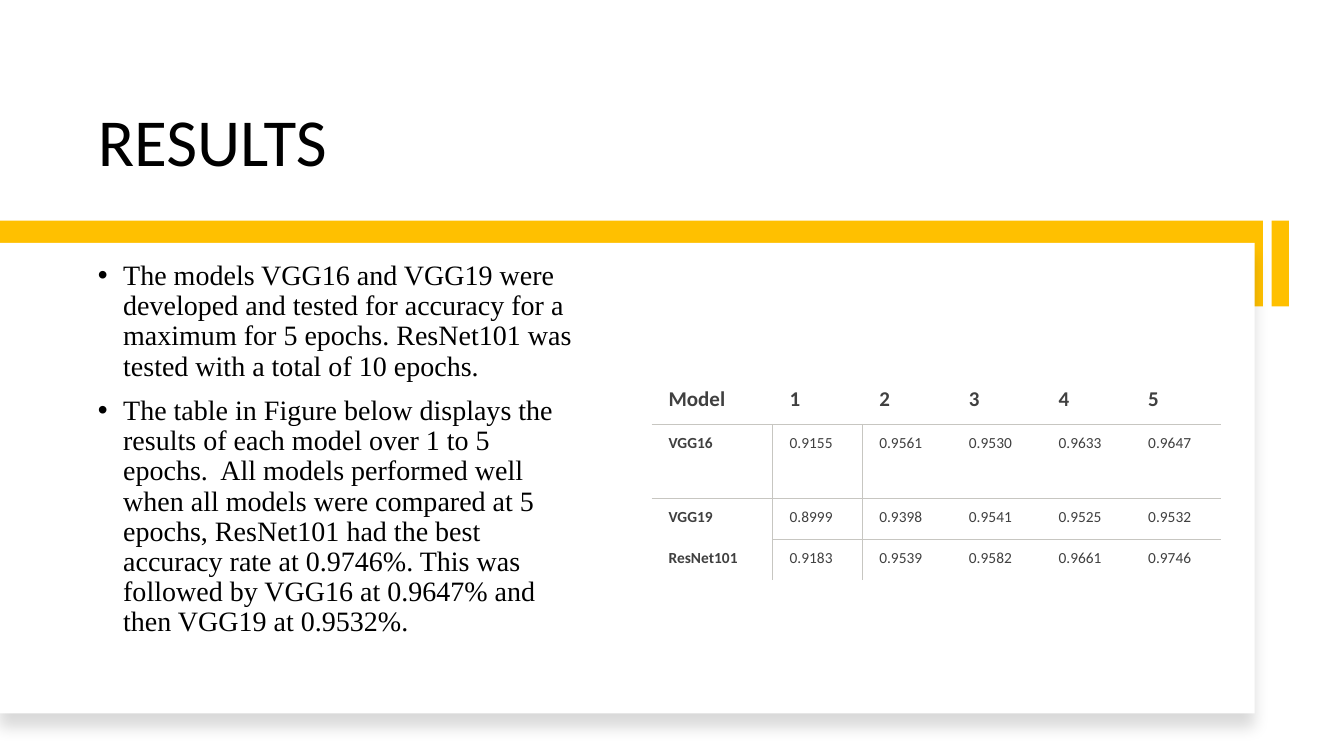
import lxml.etree
import pptx
import pptx.dml.color
import pptx.enum.shapes
import pptx.enum.text
import pptx.oxml.ns
import pptx.util

Cm, Pt = pptx.util.Cm, pptx.util.Pt
qn = pptx.oxml.ns.qn
ANCHOR = pptx.enum.text.MSO_ANCHOR
LEFT = pptx.enum.text.PP_ALIGN.LEFT

BLACK, WHITE, GOLD, GREY, RULE = "000000", "FFFFFF", "FFC000", "404040", "C7C6C1"
PLAIN_TABLE = "{2D5ABB26-0587-4C30-8999-92F81FD0307C}"

FINDINGS = [
    "The models VGG16 and VGG19 were developed and tested for accuracy for a "
    "maximum for 5 epochs. ResNet101 was tested with a total of 10 epochs. ",
    "The table in Figure below displays the results of each model over 1 to 5 "
    "epochs.  All models performed well when all models were compared at 5 "
    "epochs, ResNet101 had the best accuracy rate at 0.9746%. This was "
    "followed by VGG16 at 0.9647% and then VGG19 at 0.9532%.",
]
ACCURACY = [
    ["Model", "1", "2", "3", "4", "5"],
    ["VGG16", "0.9155", "0.9561", "0.9530", "0.9633", "0.9647"],
    ["VGG19", "0.8999", "0.9398", "0.9541", "0.9525", "0.9532"],
    ["ResNet101", "0.9183", "0.9539", "0.9582", "0.9661", "0.9746"],
]
COLUMN_WIDTHS = [3.05] + [2.26] * 5
ROW_HEIGHTS = [1.19, 1.88, 1.02, 1.02]


def colour(hex_code):
    """Turn a hex string into a colour."""
    return pptx.dml.color.RGBColor.from_string(hex_code)


def apply(target, values):
    """Set every attribute named in a dict of format values."""
    for name, value in values.items():
        setattr(target, name, value)


def place(shape, left, top, width, height):
    """Move and size a shape, in centimetres."""
    apply(shape, {"left": Cm(left), "top": Cm(top),
                  "width": Cm(width), "height": Cm(height)})


def add_element(parent, tag, **attributes):
    """Append an XML element such as a:ln with its attributes."""
    return lxml.etree.SubElement(parent, qn(tag), attributes)


def write(para, text, font, size, hex_code, bold=False, **layout):
    """Put one formatted span of text in a paragraph."""
    span = para.add_run()
    span.text = text
    apply(span.font, {"name": font, "size": Pt(size), "bold": bold})
    span.font.color.rgb = colour(hex_code)
    apply(para, {"alignment": LEFT, **layout})


def add_block(page, hex_code, *position):
    """Add a plain filled rectangle."""
    block = page.shapes.add_shape(
        pptx.enum.shapes.MSO_SHAPE.RECTANGLE, *map(Cm, position))
    block.shadow.inherit = False
    block.fill.solid()
    block.fill.fore_color.rgb = colour(hex_code)
    block.line.fill.background()
    return block


def add_shadow(shape):
    """Give a shape a soft shadow below it."""
    effects = shape._element.spPr.find(qn("a:effectLst"))
    shadow = add_element(effects, "a:outerShdw", blurRad=str(Pt(11)),
                         dist=str(Pt(10)), dir="5400000", algn="t",
                         rotWithShape="0")
    tint = add_element(shadow, "a:srgbClr", val=BLACK)
    add_element(tint, "a:alpha", val="15000")


def fill_title(title):
    """Place and write the title."""
    place(title, 2.21, 1.07, 27.97, 3.61)
    apply(title.text_frame, {"vertical_anchor": ANCHOR.BOTTOM})
    write(title.text_frame.paragraphs[0], "RESULTS", "Calibri", 48, BLACK,
          line_spacing=0.9)


def fill_body(body):
    """Place the bulleted findings, in front of the card."""
    place(body, 2.21, 7.21, 12.6, 10.11)
    frame = body.text_frame
    apply(frame, {"vertical_anchor": ANCHOR.MIDDLE, "word_wrap": True,
                  "auto_size": pptx.enum.text.MSO_AUTO_SIZE.NONE,
                  "margin_bottom": Cm(2)})
    for index, finding in enumerate(FINDINGS):
        para = frame.add_paragraph() if index else frame.paragraphs[0]
        write(para, finding, "Times New Roman", 20, BLACK,
              line_spacing=0.9, space_before=Pt(10))
        layout = para._p.get_or_add_pPr()
        layout.set("marL", str(Cm(0.64)))
        layout.set("indent", str(-Cm(0.64)))
        add_element(layout, "a:buFont", typeface="Arial")
        add_element(layout, "a:buChar", char="•")
    body._element.getparent().append(body._element)


def rule_sides(row, column):
    """Name the ruled sides of a table cell."""
    last = len(ACCURACY) - 1
    rules = {
        "a:lnL": row > 0 and column == 1,
        "a:lnR": row > 0 and column == 0,
        "a:lnT": row == 1 or (row > 1 and column > 0),
        "a:lnB": row == 0 or (row < last and column > 0),
    }
    return [side for side, ruled in rules.items() if ruled]


def fill_cell(cell, text, row, column):
    """Write a table cell and draw its rules."""
    apply(cell, {"margin_left": Cm(0.43), "margin_right": Cm(0.33),
                 "margin_top": Cm(0.23), "margin_bottom": Cm(0.23),
                 "vertical_anchor": ANCHOR.TOP})
    write(cell.text_frame.paragraphs[0], text, "Calibri",
          11 if row else 15, GREY, bold=row == 0 or column == 0,
          space_after=Pt(10))
    properties = cell._tc.get_or_add_tcPr()
    for side in rule_sides(row, column):
        line = add_element(properties, side, w=str(Pt(0.75)))
        add_element(add_element(line, "a:solidFill"), "a:srgbClr", val=RULE)
    cell.fill.background()


def add_accuracy_table(page):
    """Add the table of accuracy by model and epoch."""
    frame = page.shapes.add_table(
        len(ACCURACY), len(ACCURACY[0]), Cm(16.42), Cm(9.5),
        Cm(sum(COLUMN_WIDTHS)), Cm(sum(ROW_HEIGHTS)))
    table = frame.table
    apply(table, {"first_row": False, "horz_banding": False})
    table._tbl.tblPr.find(qn("a:tableStyleId")).text = PLAIN_TABLE
    for column, width in zip(table.columns, COLUMN_WIDTHS):
        column.width = Cm(width)
    for row, height in zip(table.rows, ROW_HEIGHTS):
        row.height = Cm(height)
    for row, texts in enumerate(ACCURACY):
        for column, text in enumerate(texts):
            fill_cell(table.cell(row, column), text, row, column)


def main():
    """Build the results slide."""
    deck = pptx.Presentation()
    apply(deck, {"slide_width": Cm(33.87), "slide_height": Cm(19.05)})
    page = deck.slides.add_slide(deck.slide_layouts[1])
    title, body = page.placeholders
    fill_title(title)
    add_block(page, GOLD, 0, 5.56, 31.83, 2.16)
    add_shadow(add_block(page, WHITE, 0, 6.12, 31.62, 11.86))
    fill_body(body)
    add_block(page, GOLD, 32.05, 5.56, 0.43, 2.16)
    add_accuracy_table(page)
    deck.save("out.pptx")


main()
